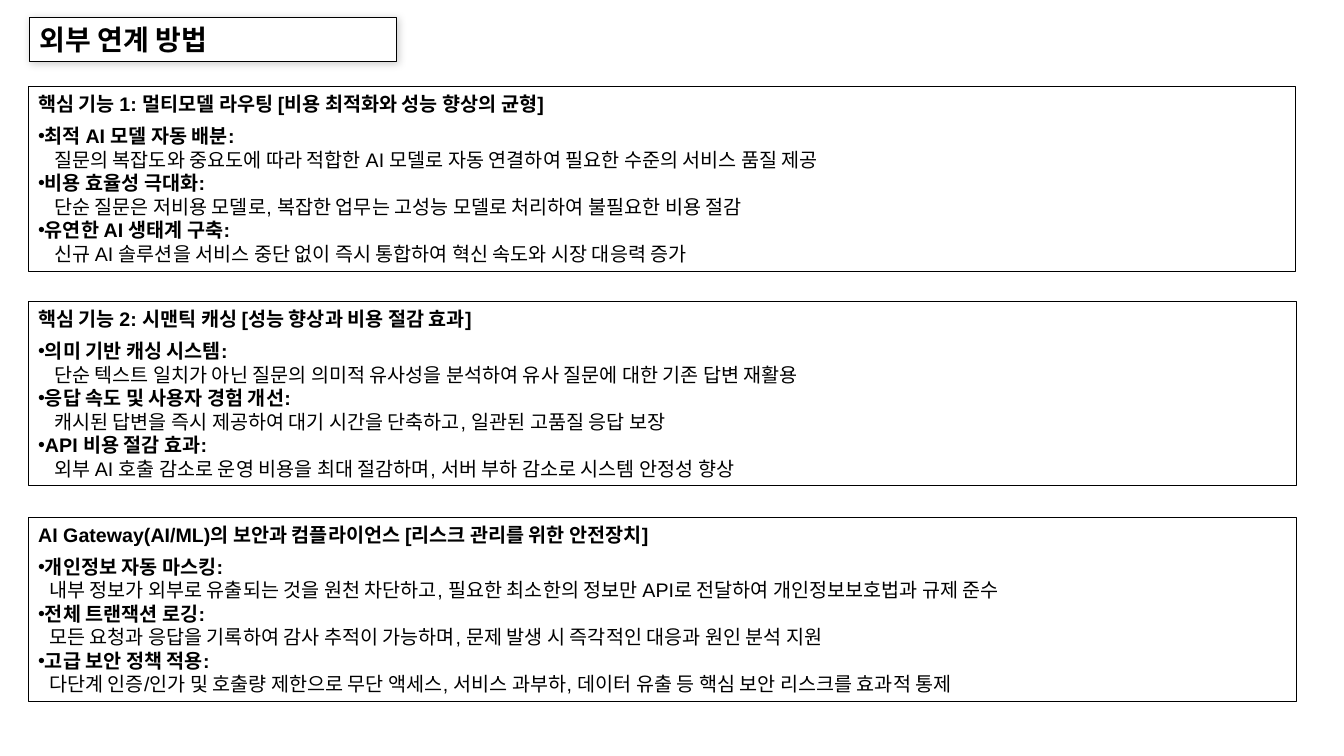
import pptx
import pptx.dml.color
import pptx.enum.shapes
import pptx.enum.text
import pptx.oxml
import pptx.oxml.ns
import pptx.util

PX = 9144
FONT = "Arial"
INK = "000000"
PAPER = "FFFFFF"
NS = pptx.oxml.ns.nsdecls("a")

TITLE = "외부 연계 방법"
SECTIONS = [
    (86, 1257, 16, "핵심 기능 1: 멀티모델 라우팅 [비용 최적화와 성능 향상의 균형]", [
        ("최적 AI 모델 자동 배분:",
         "질문의 복잡도와 중요도에 따라 적합한 AI 모델로 자동 연결하여 필요한 수준의 서비스 품질 제공"),
        ("비용 효율성 극대화:",
         "단순 질문은 저비용 모델로, 복잡한 업무는 고성능 모델로 처리하여 불필요한 비용 절감"),
        ("유연한 AI 생태계 구축:",
         "신규 AI 솔루션을 서비스 중단 없이 즉시 통합하여 혁신 속도와 시장 대응력 증가"),
    ]),
    (299, 1258, 16, "핵심 기능 2: 시맨틱 캐싱 [성능 향상과 비용 절감 효과]", [
        ("의미 기반 캐싱 시스템:",
         "단순 텍스트 일치가 아닌 질문의 의미적 유사성을 분석하여 유사 질문에 대한 기존 답변 재활용"),
        ("응답 속도 및 사용자 경험 개선:",
         "캐시된 답변을 즉시 제공하여 대기 시간을 단축하고, 일관된 고품질 응답 보장"),
        ("API 비용 절감 효과:",
         "외부 AI 호출 감소로 운영 비용을 최대 절감하며, 서버 부하 감소로 시스템 안정성 향상"),
    ]),
    (513, 1258, 11, "AI Gateway(AI/ML)의 보안과 컴플라이언스 [리스크 관리를 위한 안전장치]", [
        ("개인정보 자동 마스킹:",
         "내부 정보가 외부로 유출되는 것을 원천 차단하고, 필요한 최소한의 정보만 API로 전달하여 개인정보보호법과 규제 준수"),
        ("전체 트랜잭션 로깅:",
         "모든 요청과 응답을 기록하여 감사 추적이 가능하며, 문제 발생 시 즉각적인 대응과 원인 분석 지원"),
        ("고급 보안 정책 적용:",
         "다단계 인증/인가 및 호출량 제한으로 무단 액세스, 서비스 과부하, 데이터 유출 등 핵심 보안 리스크를 효과적 통제"),
    ]),
]


def color(value):
    return pptx.dml.color.RGBColor.from_string(value)


def write(paragraph, text, size, bold):
    paragraph.alignment = pptx.enum.text.PP_ALIGN.LEFT
    run = paragraph.add_run()
    run.text = text
    run.font.color.rgb = color(INK)
    for name, value in {"name": FONT, "size": pptx.util.Pt(size), "bold": bold}.items():
        setattr(run.font, name, value)


deck = pptx.Presentation()
deck.slide_width, deck.slide_height = 1333 * PX, 750 * PX
slide = deck.slides.add_slide(deck.slide_layouts[5])

heading = slide.shapes.title
heading.left, heading.top, heading.width, heading.height = [n * PX for n in (29, 17, 364, 44)]
heading.fill.solid()
heading.fill.fore_color.rgb = color(PAPER)
write(heading.text_frame.paragraphs[0], TITLE, 20, True)

panels = []
for top, width, indent, feature, points in SECTIONS:
    panel = slide.shapes.add_shape(
        pptx.enum.shapes.MSO_SHAPE.RECTANGLE, 28 * PX, top * PX, width * PX, 183 * PX)
    panel.shadow.inherit = False
    panel.fill.background()
    panels.append(panel)
    frame = panel.text_frame
    write(frame.paragraphs[0], feature, 14, True)
    frame.paragraphs[0].space_after = pptx.util.Pt(6)
    for label, detail in points:
        point = frame.add_paragraph()
        write(point, label, 14, True)
        props = point._p.get_or_add_pPr()
        props.set("marL", "0")
        props.set("indent", "0")
        props.append(pptx.oxml.parse_xml(f'<a:buFont {NS} typeface="{FONT}"/>'))
        props.append(pptx.oxml.parse_xml(f'<a:buChar {NS} char="•"/>'))
        explanation = frame.add_paragraph()
        write(explanation, detail, 14, False)
        explanation._p.get_or_add_pPr().set("marL", str(indent * PX))

frame_format = {
    "word_wrap": True,
    "auto_size": pptx.enum.text.MSO_AUTO_SIZE.NONE,
    "vertical_anchor": pptx.enum.text.MSO_ANCHOR.MIDDLE,
    "margin_left": 10 * PX,
    "margin_right": 10 * PX,
    "margin_top": 5 * PX,
    "margin_bottom": 5 * PX,
}
for box in [heading, *panels]:
    box.line.color.rgb = color(INK)
    box.line.width = pptx.util.Pt(0.75)
    for name, value in frame_format.items():
        setattr(box.text_frame, name, value)

heading._element.spPr.append(pptx.oxml.parse_xml(
    f'<a:effectLst {NS}><a:outerShdw blurRad="76200" dist="12700" dir="2700000" '
    f'algn="tl" rotWithShape="0"><a:srgbClr val="{INK}"><a:alpha val="20000"/>'
    '</a:srgbClr></a:outerShdw></a:effectLst>'))

deck.save("out.pptx")
